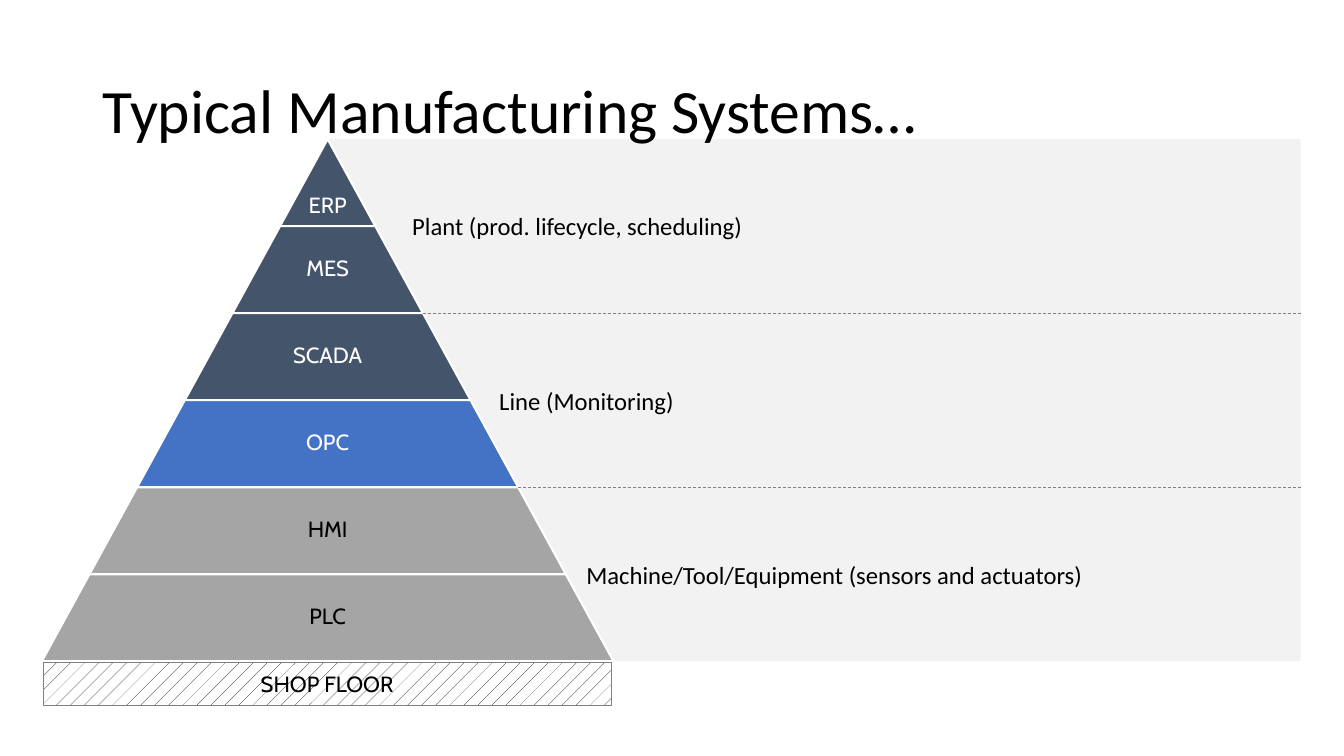
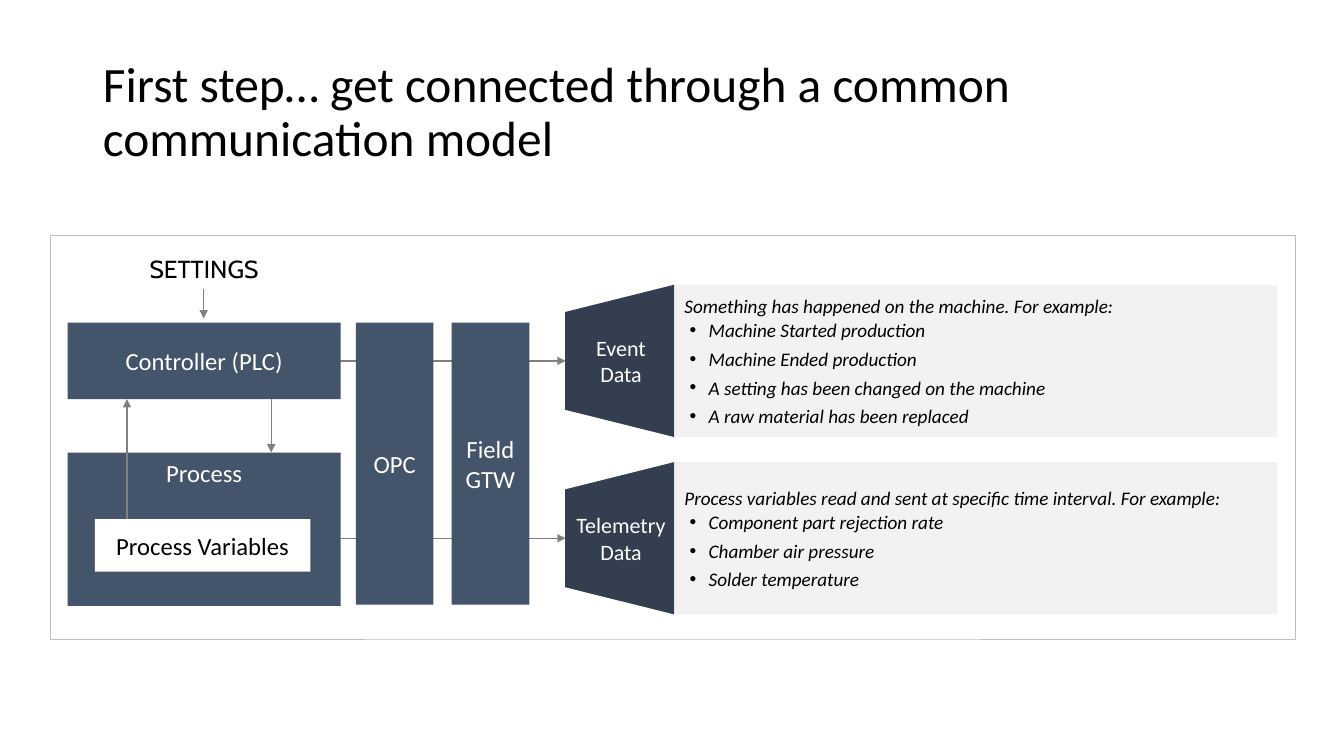
from lxml.etree import SubElement
from pptx import Presentation
from pptx.dml.color import RGBColor
from pptx.enum.dml import MSO_LINE, MSO_PATTERN
from pptx.enum.shapes import MSO_CONNECTOR, MSO_SHAPE
from pptx.enum.text import MSO_ANCHOR, MSO_AUTO_SIZE, PP_ALIGN
from pptx.oxml.ns import qn
from pptx.util import Inches, Pt

SLATE, NAVY, BLUE, GREY = "44546A", "333F50", "4472C4", "A5A5A5"
PALE, RULE, BLACK, WHITE = "F2F2F2", "808080", "000000", "FFFFFF"
RECT = MSO_SHAPE.RECTANGLE


def style(sh, lines=(), size=17.6, color=WHITE, fill=None, edge=None, weight=0.5,
          font="Calibri", align=PP_ALIGN.CENTER, anchor=MSO_ANCHOR.MIDDLE, italic=None):
    """Set fill, outline and text of a shape; each entry of lines is a paragraph."""
    sh.shadow.inherit = False
    for part, hexa in ((sh.fill, fill), (sh.line.fill, edge)):
        if hexa:
            part.solid()
            part.fore_color.rgb = RGBColor.from_string(hexa)
        else:
            part.background()
    if edge:
        sh.line.width = Pt(weight)
    tf = sh.text_frame
    tf.word_wrap = True
    tf.auto_size = MSO_AUTO_SIZE.NONE
    tf.vertical_anchor = anchor
    for i, line in enumerate(lines):
        p = tf.add_paragraph() if i else tf.paragraphs[0]
        p.alignment = align
        r = p.add_run()
        r.text = line
        r.font.name, r.font.size, r.font.italic = font, Pt(size), italic
        r.font.color.rgb = RGBColor.from_string(color)
    return tf


def connect(s, x1, y1, x2, y2, weight=1, arrow=True):
    """Draw a grey arrow, or a dashed rule when arrow is False."""
    c = s.shapes.add_connector(MSO_CONNECTOR.STRAIGHT, *map(Inches, (x1, y1, x2, y2)))
    c.line.color.rgb = RGBColor.from_string(RULE)
    c.line.width = Pt(weight)
    if arrow:
        SubElement(c.line._get_or_add_ln(), qn("a:tailEnd"), type="triangle")
    else:
        c.line.dash_style = MSO_LINE.DASH
    SubElement(c._element.spPr, qn("a:effectLst"))


prs = Presentation()
prs.slide_width, prs.slide_height = Inches(13.33), Inches(7.5)

slides = []
for title, size in (("Typical Manufacturing Systems…", 44),
                    ("First step… get connected through a common communication model", 35.3)):
    s = prs.slides.add_slide(prs.slide_layouts[5])
    sp = s.shapes.title
    sp.left, sp.top, sp.width, sp.height = map(Inches, (0.92, 0.4, 11.5, 1.45))
    tf = style(sp, [title], size, BLACK, align=PP_ALIGN.LEFT)
    tf.paragraphs[0].line_spacing = 0.9
    slides.append(s)
pyramid, model = slides

# Pyramid: six tiers of equal height, each wider by the same step on both sides
TOP, CENTRE, ROW, STEP, RIGHT = 1.38, 3.25, 5.18 / 6, 5.67 / 12, 12.9
s = pyramid
backdrop = s.shapes.add_shape(RECT, *map(Inches, (CENTRE, TOP, RIGHT - CENTRE, 6 * ROW)))
style(backdrop, fill=PALE)
s.shapes.title._element.addprevious(backdrop._element)

tiers = (("ERP", SLATE, WHITE), ("MES", SLATE, WHITE), ("SCADA", SLATE, WHITE),
         ("OPC", BLUE, WHITE), ("HMI", GREY, BLACK), ("PLC", GREY, BLACK))
for i, (name, fill, color) in enumerate(tiers):
    y1, y2 = TOP + i * ROW, TOP + (i + 1) * ROW
    near, far = i * STEP, (i + 1) * STEP
    corners = [(Inches(x), Inches(y)) for x, y in (
        (CENTRE - far, y2), (CENTRE - near, y1), (CENTRE + near, y1), (CENTRE + far, y2))]
    outline = s.shapes.build_freeform(*corners[0])
    outline.add_line_segments(corners[1:], close=True)
    tf = style(outline.convert_to_shape(), [name], 15.7, color, fill, WHITE, 1.5, "Cabin")
    tf.paragraphs[0].line_spacing = 0.9
    tf.margin_left = tf.margin_right = tf.margin_bottom = Inches(0.02)
    tf.margin_top = Inches(0.02 if i else 0.5)

floor = s.shapes.add_shape(RECT, *map(Inches, (0.43, 6.57, 5.63, 0.43)))
style(floor, ["SHOP FLOOR"], 15.7, BLACK, edge=RULE, font="Cabin")
floor.fill.patterned()
floor.fill.pattern = MSO_PATTERN.PERCENT_5
floor.fill.fore_color.rgb = RGBColor.from_string(BLACK)
floor.fill.back_color.rgb = RGBColor.from_string(WHITE)

levels = (("Plant (prod. lifecycle, scheduling)", 3.91), ("Line (Monitoring)", 2.19),
          ("Machine/Tool/Equipment (sensors and actuators)", 5.74))
for i, (level, width) in enumerate(levels):
    middle = TOP + (2 * i + 1) * ROW
    sp = s.shapes.add_shape(RECT, *map(Inches, (3.99 + i * ROW, middle - 0.2, width, 0.4)))
    style(sp, [level], color=BLACK, fill=PALE, align=PP_ALIGN.LEFT)
    if i:
        connect(s, CENTRE + 2 * i * STEP, middle - ROW, RIGHT, middle - ROW, 0.5, False)

# Communication model: two lanes run from the machine to the data panels
LANES = (3.58, 5.34)
PANEL = 1.51
s = model
for lane in LANES:
    connect(s, 3.37, lane, 5.61, lane)

blocks = (
    (0.67, 4.49, 2.71, 1.52, ["Process"], SLATE, WHITE, MSO_ANCHOR.TOP),
    (0.67, 3.2, 2.71, 0.76, ["Controller (PLC)"], SLATE, WHITE, MSO_ANCHOR.MIDDLE),
    (3.53, 3.2, 0.77, 2.8, ["OPC"], SLATE, WHITE, MSO_ANCHOR.MIDDLE),
    (4.48, 3.2, 0.77, 2.8, ["Field", "GTW"], SLATE, WHITE, MSO_ANCHOR.MIDDLE),
    (0.94, 5.15, 2.14, 0.52, ["Process Variables"], WHITE, BLACK, MSO_ANCHOR.MIDDLE),
)
for x, y, w, h, lines, fill, color, anchor in blocks:
    sp = s.shapes.add_shape(RECT, *map(Inches, (x, y, w, h)))
    style(sp, lines, color=color, fill=fill, anchor=anchor)

settings = s.shapes.add_textbox(*map(Inches, (1.11, 2.47, 1.83, 0.4)))
style(settings, ["SETTINGS"], color=BLACK, font="Cabin", anchor=MSO_ANCHOR.TOP)
for x, y1, y2 in ((2.02, 2.87, 3.16), (1.26, 5.15, 3.96), (2.69, 3.96, 4.49)):
    connect(s, x, y1, x, y2)

panels = (
    (["Event", "Data"],
     ["Something has happened on the machine. For example:", "Machine Started production",
      "Machine Ended production", "A setting has been changed on the machine",
      "A raw material has been replaced"]),
    (["Telemetry", "Data"],
     ["Process variables read and sent at specific time interval. For example:",
      "Component part rejection rate", "Chamber air pressure", "Solder temperature"]),
)
for lane, (name, lines) in zip(LANES, panels):
    sp = s.shapes.add_shape(RECT, *map(Inches, (6.69, lane - PANEL / 2, 5.98, PANEL)))
    tf = style(sp, lines, 13.7, BLACK, PALE, align=PP_ALIGN.LEFT, italic=True)
    for p in tf.paragraphs[1:]:
        pPr = p._p.get_or_add_pPr()
        pPr.set("marL", str(Inches(0.24)))
        pPr.set("indent", str(Inches(-0.19)))
        SubElement(pPr, qn("a:buFont"), typeface="Arial")
        SubElement(pPr, qn("a:buChar"), char="•")
        p.space_before, p.space_after = Pt(1), Pt(3)

    funnel = s.shapes.add_shape(MSO_SHAPE.TRAPEZOID,
                                *map(Inches, (5.39, lane - 0.54, PANEL, 1.08)))
    funnel.rotation = 270
    tf = style(funnel, name, 15.7, fill=NAVY)
    tf.word_wrap = False
    tf.margin_left = tf.margin_top = tf.margin_right = 0
    tf.margin_bottom = Inches(0.1)
    tf._txBody.bodyPr.set("vert", "vert")

frame = s.shapes.add_shape(RECT, *map(Inches, (0.5, 2.34, 12.35, 4)))
style(frame, edge="BFBFBF")

prs.save("out.pptx")
